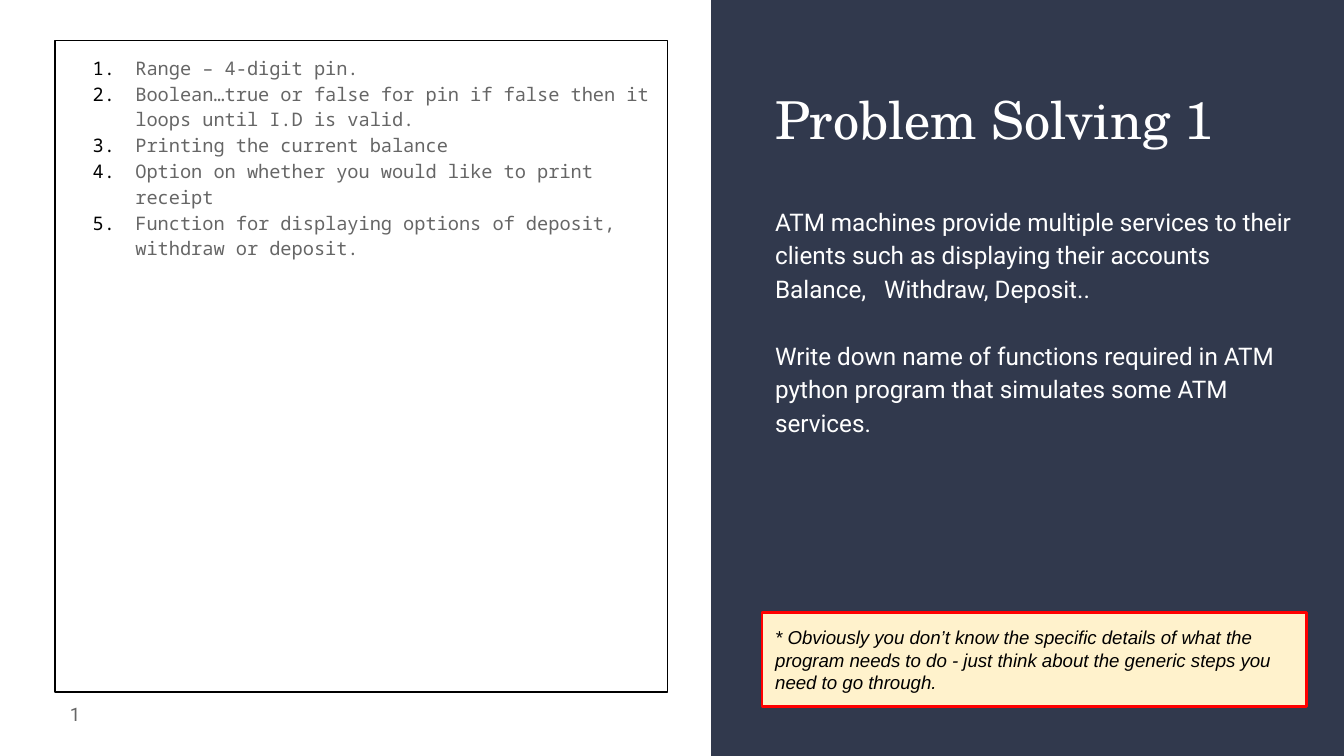
from collections import namedtuple
from dataclasses import dataclass

from lxml import etree
from pptx import Presentation
from pptx import util as u
from pptx.dml.color import RGBColor
from pptx.enum import shapes, text
from pptx.oxml.ns import qn

Box = namedtuple("Box", "x y w h")  # centimetres


@dataclass(frozen=True)
class Theme:
    navy: str = "31394D"
    white: str = "FFFFFF"
    grey: str = "666666"
    black: str = "000000"
    cream: str = "FFF2CC"
    red: str = "FF0000"
    title_font: str = "TeX Gyre Schola"
    body_font: str = "Roboto"
    code_font: str = "Noto Sans Mono"
    note_font: str = "Arial"
    title_size: float = 28
    body_size: float = 13
    small_size: float = 10
    spacing: float = 1.15


T = Theme()
SLIDE = Box(0, 0, 25.4, 14.29)
PANEL = Box(13.44, 0, 11.96, 14.29)
ANSWERS = Box(1.04, 0.76, 11.58, 12.32)
NUMBER = Box(0.25, 12.95, 1.52, 1.09)

TITLE = "Problem Solving 1"
TASK = [
    "ATM machines provide multiple services to their clients such as "
    "displaying their accounts Balance,   Withdraw, Deposit..",
    "Write down name of functions required in ATM python program that "
    "simulates some ATM services.",
]
STEPS = [
    "Range – 4-digit pin.",
    "Boolean…true or false for pin if false then it loops until I.D is valid.",
    "Printing the current balance",
    "Option on whether you would like to print receipt",
    "Function for displaying options of deposit, withdraw or deposit.",
]
NOTE = [
    "* Obviously you don’t know the specific details of what the program needs "
    "to do - just think about the generic steps you need to go through."
]


def rgb(value):
    return RGBColor.from_string(value)


def place(sp, box):
    sp.left, sp.top, sp.width, sp.height = map(u.Cm, box)


def paint(sp, fill=None, line=None, weight=0.75):
    if fill:
        sp.fill.solid()
        sp.fill.fore_color.rgb = rgb(fill)
    if line:
        sp.line.color.rgb = rgb(line)
        sp.line.width = u.Pt(weight)
    else:
        sp.line.fill.background()


def style_font(font, name, size, color, italic=False):
    font.name, font.size, font.color.rgb = name, u.Pt(size), rgb(color)
    font.bold, font.italic = False, italic


def frame(sp, anchor=text.MSO_ANCHOR.TOP):
    tf = sp.text_frame
    tf.word_wrap, tf.auto_size = True, text.MSO_AUTO_SIZE.NONE
    tf.vertical_anchor = anchor
    tf.margin_left = tf.margin_right = u.Cm(0.25)
    tf.margin_top = tf.margin_bottom = u.Cm(0.25)
    return tf


def write(sp, box, lines, font, size, color, spacing=1.0, gap=0,
          italic=False, anchor=text.MSO_ANCHOR.TOP):
    """Fill a placeholder with paragraphs, gap points apart."""
    place(sp, box)
    tf = frame(sp, anchor)
    tf.text = "\n".join(lines)
    for i, p in enumerate(tf.paragraphs):
        p.alignment = text.PP_ALIGN.LEFT
        p.line_spacing = spacing
        p.space_before = u.Pt(gap if i else 0)
        for r in p.runs:
            style_font(r.font, font, size, color, italic)
    return tf


def number_paragraph(p):
    pPr = p._p.get_or_add_pPr()
    pPr.set("marL", str(u.Cm(1.27)))
    pPr.set("indent", str(u.Cm(-0.81)))
    clr = etree.SubElement(pPr, qn("a:buClr"))
    etree.SubElement(clr, qn("a:srgbClr"), val=T.black)
    etree.SubElement(pPr, qn("a:buFont"), typeface=T.code_font)
    etree.SubElement(pPr, qn("a:buAutoNum"), type="arabicPeriod")


def add_panel(slide, box):
    """Dark backdrop with a slanted overlay, behind everything else."""
    back = slide.shapes.add_shape(shapes.MSO_SHAPE.RECTANGLE, *map(u.Cm, box))
    fb = slide.shapes.build_freeform(u.Cm(box.x), u.Cm(box.y))
    right = box.x + box.w
    corners = [(right, box.y), (right, box.y + 9.75), (box.x, box.y + 13.56)]
    fb.add_line_segments([(u.Cm(x), u.Cm(y)) for x, y in corners])
    for i, sp in enumerate((back, fb.convert_to_shape())):
        sp.shadow.inherit = False
        paint(sp, T.navy)
        slide.shapes._spTree.insert(2 + i, sp._element)


def add_task(slide, box):
    """Title, task description and highlighted note on the panel."""
    x, w = box.x + 0.96, 10.29
    write(slide.shapes.title, Box(x, box.y + 1.4, w, 1.78), [TITLE],
          T.title_font, T.title_size, T.white)
    write(slide.placeholders[1], Box(x, box.y + 3.58, w, 7.11), TASK,
          T.body_font, T.body_size, T.white, T.spacing, gap=18)
    note = slide.placeholders[3]
    write(note, Box(x, box.y + 11.58, w, 1.78), NOTE, T.note_font,
          T.small_size, T.black, italic=True, anchor=text.MSO_ANCHOR.MIDDLE)
    paint(note, T.cream, T.red, 1.5)


def add_answers(slide, box):
    """Outlined numbered list."""
    sp = slide.placeholders[2]
    tf = write(sp, box, STEPS, T.code_font, T.small_size, T.grey, T.spacing)
    paint(sp, line=T.black)
    for p in tf.paragraphs:
        number_paragraph(p)


def add_slide_number(slide, box):
    sp = slide.shapes.add_textbox(*map(u.Cm, box))
    p = frame(sp, text.MSO_ANCHOR.MIDDLE).paragraphs[0]
    p.alignment = text.PP_ALIGN.RIGHT
    r = p.add_run()
    r.text = "1"
    style_font(r.font, T.body_font, T.small_size, T.grey)
    # Turn the run into a live slide-number field
    r._r.tag = qn("a:fld")
    r._r.set("id", "{B6F15528-21DE-4FAA-801E-634DDDAF4B2B}")
    r._r.set("type", "slidenum")


def main():
    prs = Presentation()
    prs.slide_width, prs.slide_height = u.Cm(SLIDE.w), u.Cm(SLIDE.h)
    slide = prs.slides.add_slide(prs.slide_layouts.get_by_name("Comparison"))
    unused = slide.placeholders[4]._element
    unused.getparent().remove(unused)

    add_panel(slide, PANEL)
    add_task(slide, PANEL)
    add_answers(slide, ANSWERS)
    add_slide_number(slide, NUMBER)
    prs.save("out.pptx")


if __name__ == "__main__":
    main()
